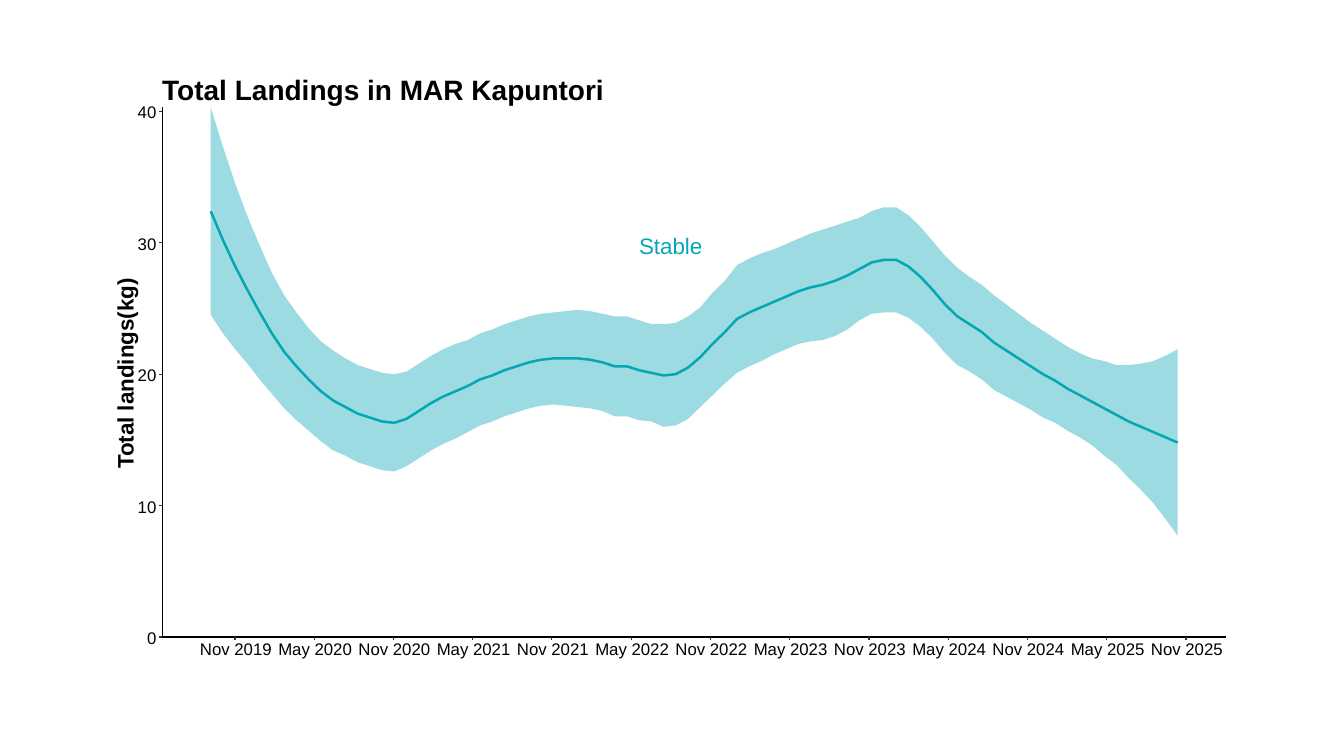
from dataclasses import dataclass

from lxml import etree
from pptx import Presentation
from pptx.dml.color import RGBColor
from pptx.enum.shapes import MSO_CONNECTOR as CONN
from pptx.enum.text import MSO_AUTO_SIZE as AUTO, PP_ALIGN as ALIGN
from pptx.oxml.ns import qn
from pptx.util import Inches, Pt

TEAL, BLACK, GREY = "06A7B4", "000000", "333333"

# Smoothed landings in kg, at equal steps of time
LANDINGS = [
    32.4, 30.2, 28.2, 26.4, 24.7, 23.1, 21.7, 20.6, 19.6, 18.7, 18.0, 17.5, 17.0, 16.7, 16.4, 16.3,
    16.6, 17.2, 17.8, 18.3, 18.7, 19.1, 19.6, 19.9, 20.3, 20.6, 20.9, 21.1, 21.2, 21.2, 21.2, 21.1,
    20.9, 20.6, 20.6, 20.3, 20.1, 19.9, 20.0, 20.5, 21.3, 22.3, 23.2, 24.2, 24.7, 25.1, 25.5, 25.9,
    26.3, 26.6, 26.8, 27.1, 27.5, 28.0, 28.5, 28.7, 28.7, 28.2, 27.4, 26.4, 25.3, 24.4, 23.8, 23.2,
    22.4, 21.8, 21.2, 20.6, 20.0, 19.5, 18.9, 18.4, 17.9, 17.4, 16.9, 16.4, 16.0, 15.6, 15.2, 14.8]
# Half the height of the confidence band in kg, at the same steps
MARGINS = [
    7.9, 7.1, 6.3, 5.6, 5.1, 4.6, 4.3, 4.1, 3.9, 3.8, 3.8, 3.7, 3.7, 3.7, 3.7, 3.7,
    3.6, 3.6, 3.6, 3.6, 3.6, 3.5, 3.5, 3.5, 3.5, 3.5, 3.5, 3.5, 3.5, 3.6, 3.7, 3.7,
    3.7, 3.8, 3.8, 3.8, 3.7, 3.9, 3.9, 3.9, 3.8, 3.9, 3.9, 4.1, 4.1, 4.1, 4.0, 4.0,
    4.0, 4.1, 4.2, 4.2, 4.1, 3.9, 3.9, 4.0, 4.0, 3.9, 3.8, 3.7, 3.7, 3.7, 3.6, 3.6,
    3.6, 3.5, 3.4, 3.3, 3.3, 3.2, 3.2, 3.2, 3.3, 3.6, 3.8, 4.3, 4.8, 5.4, 6.2, 7.1]

KG_TICKS = range(0, 41, 10)
KG_AT_TOP = 40.34
DATE_TICKS = [f"{month} {year}" for year in range(2019, 2026)
              for month in ("May", "Nov")][1:]    # starts with Nov 2019
FIRST_DATE, DATE_GAP = 0.72, 0.786                # inches from the value axis
CURVE_START, CURVE_WIDTH = 0.48, 9.59
TICK = 0.03
LABEL_H = 0.3


@dataclass
class Plot:
    """The area inside the axes, in inches, and its scales."""
    left: float
    top: float
    width: float
    height: float

    def y_at(self, kg):
        return self.top + self.height * (1 - kg / KG_AT_TOP)

    def curve(self, values):
        step = CURVE_WIDTH / (len(values) - 1)
        return [(self.left + CURVE_START + i * step, self.y_at(kg))
                for i, kg in enumerate(values)]


def color(value):
    return RGBColor.from_string(value)


def add_text(s, text, x, y, w, h, size=12, fill=BLACK, bold=False,
             align=ALIGN.LEFT, rotation=0):
    box = s.shapes.add_textbox(Inches(x), Inches(y), Inches(w), Inches(h))
    box.rotation = rotation
    tf = box.text_frame
    tf.word_wrap, tf.auto_size = False, AUTO.SHAPE_TO_FIT_TEXT
    p = tf.paragraphs[0]
    p.alignment = align
    r = p.add_run()
    r.text = text
    for name, value in {"name": "Arial", "size": Pt(size), "bold": bold}.items():
        setattr(r.font, name, value)
    r.font.color.rgb = color(fill)


def add_line(s, x1, y1, x2, y2, stroke):
    line = s.shapes.add_connector(
        CONN.STRAIGHT, Inches(x1), Inches(y1), Inches(x2), Inches(y2))
    line.line.color.rgb = color(stroke)
    line.line.width = Pt(0.89)
    etree.SubElement(line._element.spPr, qn("a:effectLst"))


def add_outline(s, points, close):
    start, *rest = [(Inches(x), Inches(y)) for x, y in points]
    builder = s.shapes.build_freeform(*start)
    builder.add_line_segments(rest, close=close)
    sp = builder.convert_to_shape()
    sp.shadow.inherit = False
    return sp


def draw_band(s, plot):
    """Area between landings plus and minus the margin."""
    pairs = list(zip(LANDINGS, MARGINS))
    upper = plot.curve([kg + margin for kg, margin in pairs])
    lower = plot.curve([kg - margin for kg, margin in pairs])
    band = add_outline(s, upper + lower[::-1], True)
    band.fill.solid()
    band.fill.fore_color.rgb = color(TEAL)
    band.line.fill.background()
    # Transparency
    srgb = band._element.spPr.find(qn("a:solidFill"))[0]
    etree.SubElement(srgb, qn("a:alpha"), val="40000")


def draw_trend(s, plot):
    trend = add_outline(s, plot.curve(LANDINGS), False)
    trend.fill.background()
    trend.line.color.rgb = color(TEAL)
    trend.line.width = Pt(1.78)
    add_text(s, "Stable", plot.left + 4.63, plot.top + 1.19, 0.84, 0.37, 16, TEAL)


def draw_value_axis(s, plot):
    x, label_w = plot.left, 0.39
    add_line(s, x, plot.y_at(0), x, plot.top, BLACK)
    for kg in KG_TICKS:
        y = plot.y_at(kg)
        add_line(s, x - TICK, y, x, y, GREY)
        add_text(s, str(kg), x + 0.04 - label_w, y + 0.01 - LABEL_H / 2,
                 label_w, LABEL_H, align=ALIGN.RIGHT)
    # Axis title, turned around its centre
    w, h = 2.12, 0.37
    add_text(s, "Total landings(kg)", x - 0.37 - w / 2, plot.top + plot.height / 2 - h / 2,
             w, h, 16, bold=True, rotation=270)


def draw_date_axis(s, plot):
    y, label_w = plot.y_at(0), 0.94
    add_line(s, plot.left, y, plot.left + plot.width, y, BLACK)
    for i, date in enumerate(DATE_TICKS):
        x = plot.left + FIRST_DATE + i * DATE_GAP
        add_line(s, x, y + TICK, x, y, GREY)
        add_text(s, date, x + 0.01 - label_w / 2, y - 0.03, label_w, LABEL_H,
                 align=ALIGN.CENTER)


def draw_title(s, plot):
    add_text(s, "Total Landings in MAR Kapuntori", plot.left - 0.1, plot.top - 0.39,
             4.62, 0.44, 20, bold=True)


def main():
    prs = Presentation()
    prs.slide_width, prs.slide_height = Inches(13.33), Inches(7.5)
    s = prs.slides.add_slide(prs.slide_layouts[6])
    plot = Plot(left=1.61, top=1.06, width=10.55, height=5.26)
    for draw in (draw_band, draw_trend, draw_value_axis, draw_date_axis, draw_title):
        draw(s, plot)
    prs.save("out.pptx")


if __name__ == "__main__":
    main()
